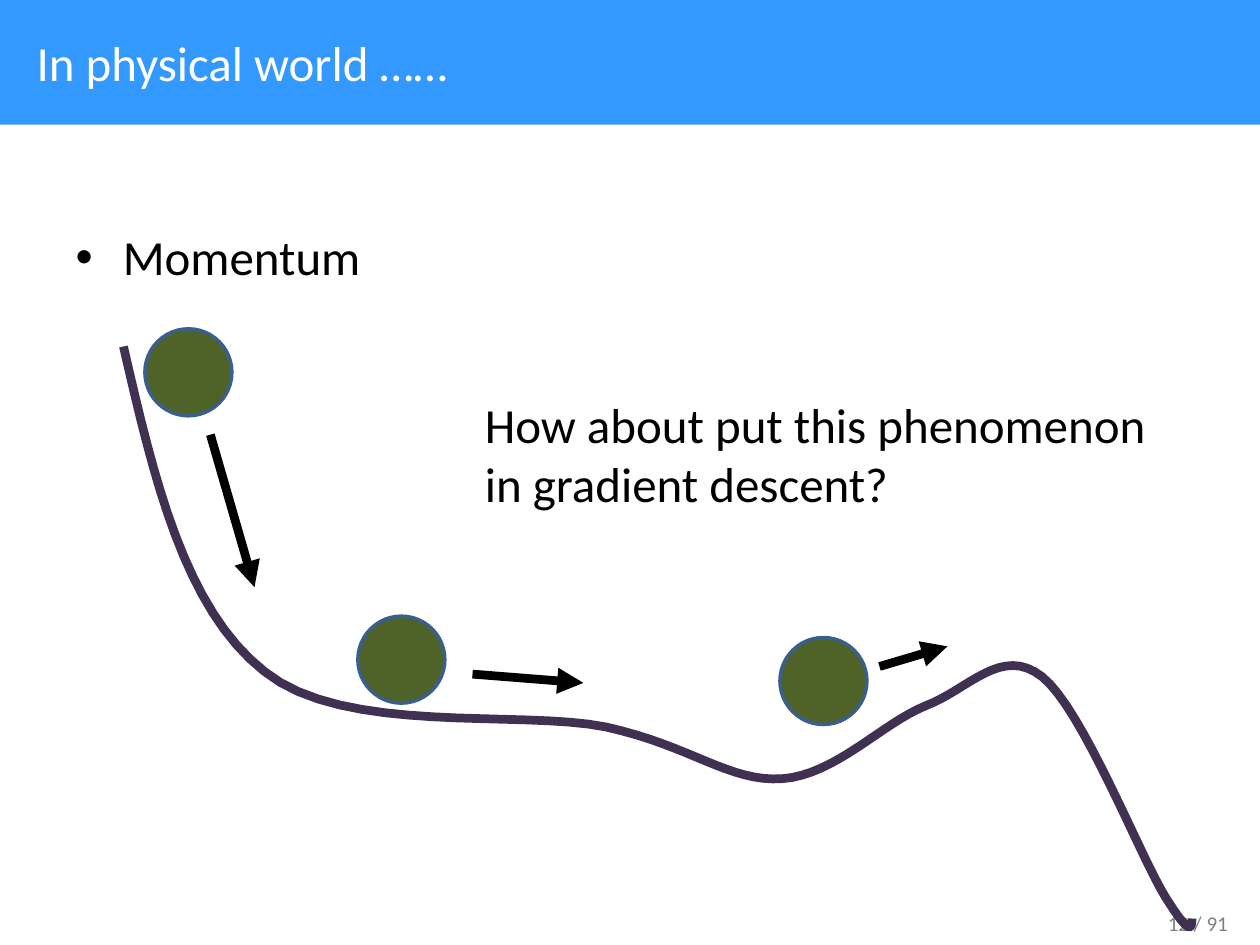
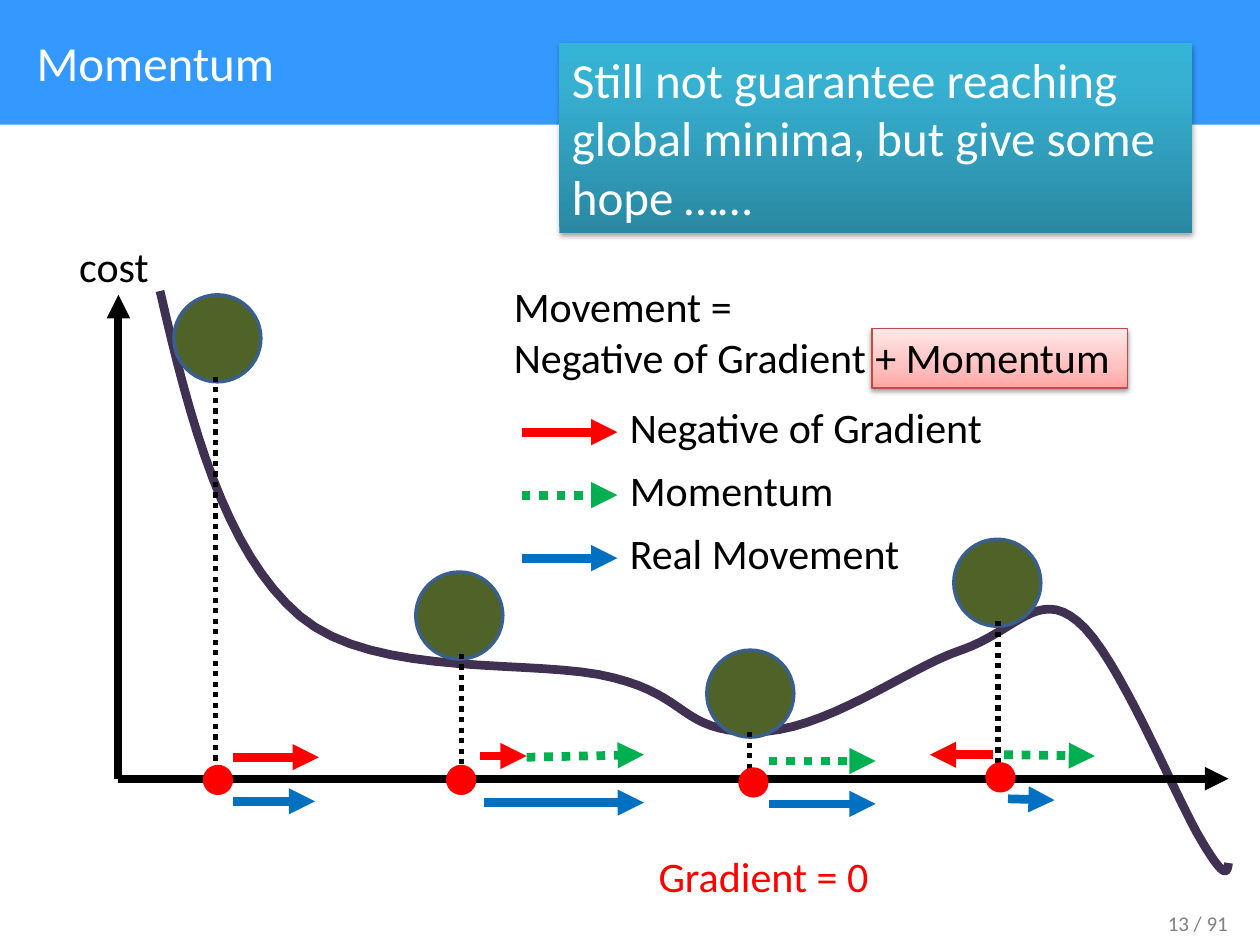
import copy

import pptx
import pptx.dml.color
import pptx.enum.dml
import pptx.enum.shapes
import pptx.enum.text
import pptx.oxml
import pptx.oxml.ns
import pptx.util
from pptx.util import Inches, Pt

COLORS = {
    "band": "3399FF", "white": "FFFFFF", "black": "000000", "gray": "808080",
    "curve": "403152", "ball": "4F6228", "ball_edge": "3A5F8C",
    "red": "FF0000", "green": "00B050", "blue": "0070C0", "pink_edge": "BF4C48",
}
TEAL_STOPS = [(0, "2A88A2"), (0.8, "37B1D2"), (1, "34B4D6")]
PINK_STOPS = [(0, "FFA6A5"), (0.35, "FFC0BF"), (1, "FFE7E7")]
FONT = "Calibri"
PAGES = 91
BALL, DOT = 0.69, 0.24
ALIGN = pptx.enum.text.PP_ALIGN
SHAPE = pptx.enum.shapes.MSO_SHAPE

# Bezier points after the start at (0, 0): two controls and an end per piece
WORLD_CURVE = [
    (0.24, 1.04), (0.48, 2.08), (1.12, 2.58), (1.75, 3.09), (3.14, 2.88), (3.83, 3.02),
    (4.51, 3.17), (4.81, 3.46), (5.23, 3.43), (5.65, 3.40), (6.02, 2.99), (6.37, 2.85),
    (6.71, 2.72), (6.97, 2.37), (7.29, 2.62), (7.61, 2.87), (8.07, 4.05), (8.27, 4.37),
    (8.47, 4.69), (8.48, 4.62), (8.48, 4.54),
]
COST_CURVE = [
    (0.24, 1.04), (0.51, 2.07), (1.11, 2.58), (1.71, 3.09), (3.00, 2.91), (3.60, 3.07),
    (4.20, 3.22), (4.13, 3.49), (4.70, 3.50), (5.27, 3.51), (5.93, 2.99), (6.36, 2.85),
    (6.79, 2.70), (6.97, 2.36), (7.28, 2.62), (7.60, 2.87), (8.07, 4.05), (8.27, 4.37),
    (8.46, 4.69), (8.47, 4.61), (8.48, 4.54),
]
# Ball corner, dot corner and x of the dotted line, from the corner of the plot
POSITIONS = [
    ((0.44, 0), (0.67, 3.73), 0.77),
    ((2.36, 2.20), (2.60, 3.73), 2.72),
    ((4.67, 2.82), (4.92, 3.75), 5.01),
    ((6.63, 1.94), (6.88, 3.71), 6.98),
]
MOVES = {
    "red": [(0.91, 3.67, 1.59, 3.67), (2.87, 3.66, 3.24, 3.66), (6.94, 3.65, 6.44, 3.65)],
    "green": [(3.24, 3.67, 4.17, 3.65), (5.16, 3.70, 6.01, 3.70), (7.03, 3.65, 7.75, 3.66)],
    "blue": [(0.91, 4.02, 1.56, 4.02), (2.90, 4.03, 4.17, 4.03),
             (5.16, 4.04, 6.01, 4.04), (7.06, 4.00, 7.43, 4.01)],
}
LEGEND = [("red", "Negative of Gradient"), ("green", "Momentum"), ("blue", "Real Movement")]


def rgb(value):
    return pptx.dml.color.RGBColor.from_string(value)


def write(tf, *lines, size=24, color="black", align=ALIGN.LEFT):
    tf.word_wrap = True
    tf.auto_size = pptx.enum.text.MSO_AUTO_SIZE.NONE
    for i, line in enumerate(lines):
        p = tf.add_paragraph() if i else tf.paragraphs[0]
        p.alignment = align
        p.space_before = Pt(0)
        r = p.add_run()
        r.text = line
        r.font.name, r.font.size = FONT, Pt(size)
        r.font.color.rgb = rgb(COLORS[color])


def add_text(slide, box, *lines, **fmt):
    s = slide.shapes.add_textbox(*map(Inches, box))
    write(s.text_frame, *lines, **fmt)


def add_shape(slide, kind, box, fill=None, edge=None, width=2):
    s = slide.shapes.add_shape(kind, *map(Inches, box))
    s.shadow.inherit = False
    if fill:
        s.fill.solid()
        s.fill.fore_color.rgb = rgb(COLORS[fill])
    if edge:
        s.line.color.rgb = rgb(COLORS[edge])
        s.line.width = Pt(width)
    else:
        s.line.fill.background()
    return s


def add_glossy_box(slide, box, stops, alpha, distance, **line):
    """Rectangle with an upward gradient and a soft shadow below it."""
    s = add_shape(slide, SHAPE.RECTANGLE, box, **line)
    s.fill.gradient()
    s.fill.gradient_angle = 90
    last = s.fill.gradient_stops[1]._gs
    last.addnext(copy.deepcopy(last))
    for stop, (position, color) in zip(s.fill.gradient_stops, stops):
        stop.position = position
        stop.color.rgb = rgb(color)
    effects = s._element.spPr.find(pptx.oxml.ns.qn("a:effectLst"))
    effects.append(pptx.oxml.parse_xml(
        f'<a:outerShdw {pptx.oxml.ns.nsdecls("a")} blurRad="{Pt(3.1)}" '
        f'dist="{Pt(distance)}" dir="5400000" rotWithShape="0">'
        f'<a:srgbClr val="{COLORS["black"]}"><a:alpha val="{alpha * 1000}"/>'
        '</a:srgbClr></a:outerShdw>'))
    return s


def add_line(slide, ends, color="black", width=5, dotted=False, arrow=True):
    s = slide.shapes.add_connector(
        pptx.enum.shapes.MSO_CONNECTOR.STRAIGHT, *map(Inches, ends))
    s.line.color.rgb = rgb(COLORS[color])
    s.line.width = Pt(width)
    if dotted:
        s.line.dash_style = pptx.enum.dml.MSO_LINE.ROUND_DOT
    if arrow:
        pptx.oxml.ns.qn("a:tailEnd")
        s.line._get_or_add_ln().append(pptx.oxml.parse_xml(
            f'<a:tailEnd {pptx.oxml.ns.nsdecls("a")} type="triangle"/>'))
    s._element.spPr.append(pptx.oxml.parse_xml(
        f'<a:effectLst {pptx.oxml.ns.nsdecls("a")}/>'))


def add_ball(slide, x, y):
    add_shape(slide, SHAPE.OVAL, (x, y, BALL, BALL), "ball", "ball_edge")


def add_curve(slide, left, top, points, steps=16):
    """Draw joined cubic Bezier pieces as a fine open outline."""
    outline, start = [], (0, 0)
    for i in range(0, len(points), 3):
        a, b, end = points[i:i + 3]
        for t in (k / steps for k in range(1, steps + 1)):
            u = 1 - t
            weights = (u ** 3, 3 * u * u * t, 3 * u * t * t, t ** 3)
            x, y = (sum(w * p[axis] for w, p in zip(weights, (start, a, b, end)))
                    for axis in (0, 1))
            outline.append((Inches(left + x), Inches(top + y)))
        start = end
    builder = slide.shapes.build_freeform(Inches(left), Inches(top))
    builder.add_line_segments(outline, close=False)
    s = builder.convert_to_shape()
    s.shadow.inherit = False
    s.fill.background()
    s.line.color.rgb = rgb(COLORS["curve"])
    s.line.width = Pt(5)


def place(s, box):
    s.left, s.top, s.width, s.height = map(Inches, box)


def add_slide(prs, layout, title, page):
    """Slide with the blue title band and its page number."""
    slide = prs.slides.add_slide(prs.slide_layouts.get_by_name(layout))
    s = slide.shapes.title
    place(s, (0, 0, 10, 0.99))
    s.fill.solid()
    s.fill.fore_color.rgb = rgb(COLORS["band"])
    s.text_frame.margin_left = Inches(0.29)
    s.text_frame.vertical_anchor = pptx.enum.text.MSO_ANCHOR.MIDDLE
    write(s.text_frame, title, size=28, color="white")
    add_text(slide, (9.17, 7.18, 0.83, 0.3), f"{page} / {PAGES}", size=12, color="gray")
    return slide


def draw_hill(slide, left, top):
    add_curve(slide, left, top, WORLD_CURVE)
    for x, y in [(0.17, -0.14), (1.86, 2.14), (5.21, 2.31)]:
        add_ball(slide, left + x, top + y)
    for x1, y1, x2, y2 in [(0.69, 0.70, 1.04, 1.91), (2.77, 2.60, 3.65, 2.67),
                           (6.00, 2.54, 6.54, 2.38)]:
        add_line(slide, (left + x1, top + y1, left + x2, top + y2))


def draw_cost_plot(slide, left, top, width, height):
    add_curve(slide, left + 0.33, top - 0.03, COST_CURVE)
    base = top + height
    add_line(slide, (left, base, left + width, base), width=4.5)
    add_line(slide, (left, base, left, top), width=4.5)
    add_text(slide, (left - 0.45, top - 0.48, 0.83, 0.5), "cost", align=ALIGN.CENTER)
    for (ball_x, ball_y), (dot_x, dot_y), x in POSITIONS:
        add_ball(slide, left + ball_x, top + ball_y)
        add_line(slide, (left + x, top + ball_y + BALL - 0.04, left + x, base),
                 width=3, dotted=True, arrow=False)
        add_shape(slide, SHAPE.OVAL, (left + dot_x, top + dot_y, DOT, DOT), "red")
    for color, moves in MOVES.items():
        for x1, y1, x2, y2 in moves:
            add_line(slide, (left + x1, top + y1, left + x2, top + y2), color,
                     dotted=color == "green")
    add_text(slide, (left + 4.07, base + 0.52, 2.1, 0.5), "Gradient = 0",
             color="red", align=ALIGN.CENTER)


def draw_formula(slide, left, top):
    add_glossy_box(slide, (left + 2.94, top + 0.43, 2.03, 0.47), PINK_STOPS, 38, 1.6,
                   edge="pink_edge", width=0.75)
    add_text(slide, (left, top, 5, 0.91), "Movement =", "Negative of Gradient + Momentum")


def draw_legend(slide, left, top, arrow=0.76, pitch=0.5):
    for i, (color, label) in enumerate(LEGEND):
        y = top + i * pitch
        add_line(slide, (left, y + 0.29, left + arrow, y + 0.29), color,
                 dotted=color == "green")
        add_text(slide, (left + arrow, y, 3.57, 0.5), label)


def draw_callout(slide, box):
    s = add_glossy_box(slide, box, TEAL_STOPS, 35, 1.8)
    s.text_frame.vertical_anchor = pptx.enum.text.MSO_ANCHOR.TOP
    write(s.text_frame, "Still not guarantee reaching global minima, but give some hope ……",
          size=28, color="white")


def build_world_slide(prs):
    slide = add_slide(prs, "Title and Content", "In physical world ……", 12)
    body = slide.placeholders[1]
    place(body, (0.5, 1.75, 9, 4.95))
    write(body.text_frame, "Momentum", size=28)
    draw_hill(slide, 0.98, 2.75)
    add_text(slide, (3.75, 3.08, 5.56, 1.04),
             "How about put this phenomenon in gradient descent?", size=28)


def build_momentum_slide(prs):
    slide = add_slide(prs, "Title Only", "Momentum", 13)
    draw_cost_plot(slide, 0.94, 2.34, 8.81, 3.84)
    draw_formula(slide, 3.98, 2.18)
    draw_legend(slide, 4.14, 3.14)
    draw_callout(slide, (4.44, 0.34, 5.02, 1.51))


def main():
    prs = pptx.Presentation()
    prs.slide_width, prs.slide_height = Inches(10), Inches(7.5)
    build_world_slide(prs)
    build_momentum_slide(prs)
    prs.save("out.pptx")


if __name__ == "__main__":
    main()
